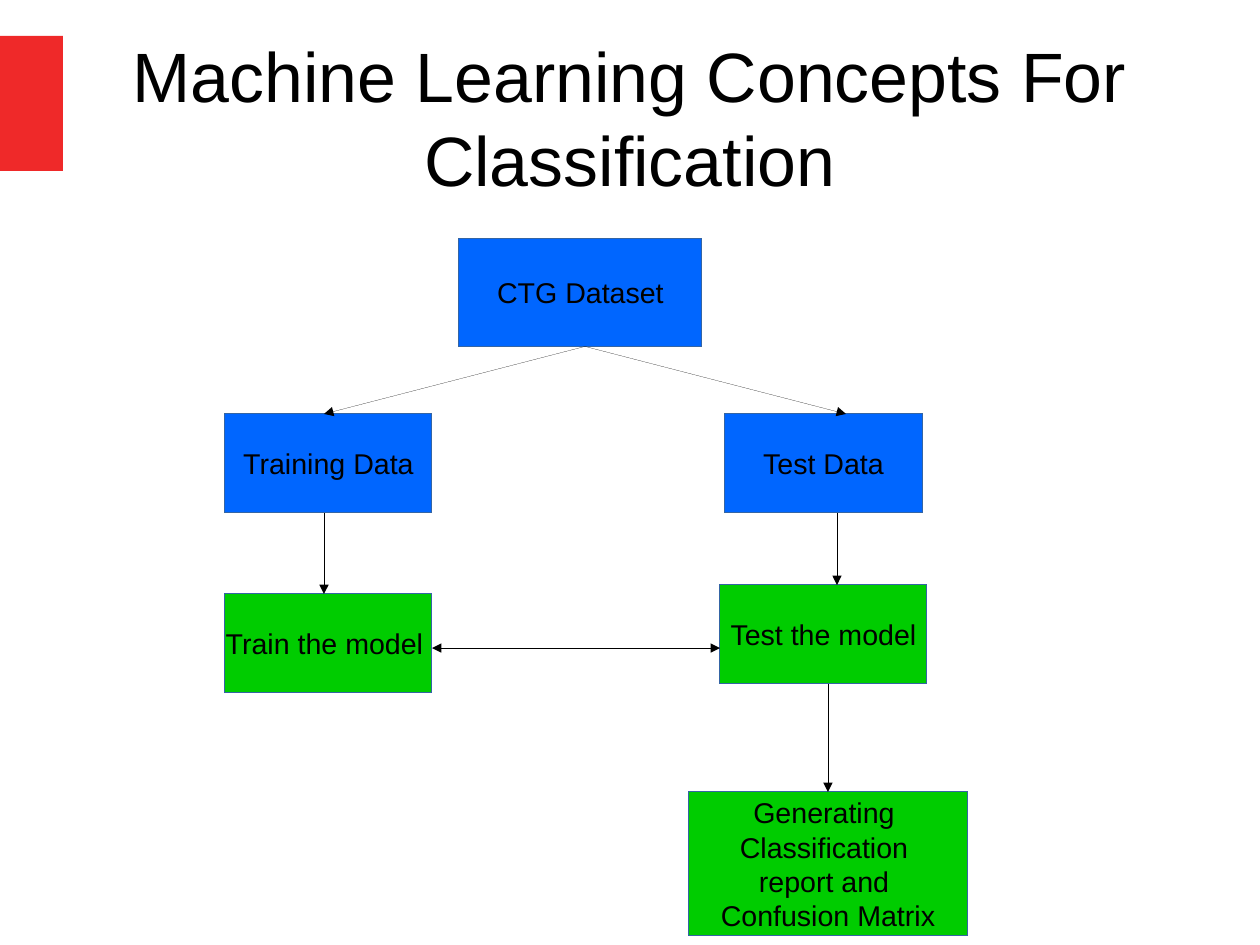
from lxml import etree
from pptx import Presentation
from pptx.dml.color import RGBColor
from pptx.enum.shapes import MSO_CONNECTOR, MSO_SHAPE
from pptx.enum.text import MSO_ANCHOR, PP_ALIGN
from pptx.oxml.ns import qn
from pptx.util import Cm, Inches, Pt

RECT = MSO_SHAPE.RECTANGLE
STRAIGHT = MSO_CONNECTOR.STRAIGHT
CENTER = PP_ALIGN.CENTER
MIDDLE = MSO_ANCHOR.MIDDLE

# Content, with lengths in centimetres
SLIDE_W, SLIDE_H = 28, 21
TITLE = "Machine Learning Concepts For Classification"
BLUE, GREEN, RED = "0066FF", "00CC00", "EF2929"
BLACK, BORDER = "000000", "3465A4"

# Grid: column centres, row tops and the usual step size
COLUMNS = {"train": 7.3, "data": 12.9, "test": 18.3, "report": 18.4}
ROWS = {"dataset": 5.3, "split": 9.2, "test": 13, "train": 13.2, "report": 17.6}
STEP_W, STEP_H = 4.6, 2.2

# Step: lines, column, row, width, height, colour
STEPS = {
    "dataset": (["CTG Dataset"], "data", "dataset", 5.4, 2.4, BLUE),
    "training data": (["Training Data"], "train", "split", STEP_W, STEP_H, BLUE),
    "test data": (["Test Data"], "test", "split", 4.4, STEP_H, BLUE),
    "train": (["Train the model "], "train", "train", STEP_W, STEP_H, GREEN),
    "test": (["Test the model"], "test", "test", STEP_W, STEP_H, GREEN),
    "report": (["Generating ", "Classification ", "report and ", "Confusion Matrix"],
               "report", "report", 6.2, 3.2, GREEN),
}

# Downward flow: upper step, lower step, x at start, x at end
FLOWS = [
    ("dataset", "training data", 13, 7.2),
    ("dataset", "test data", 13, 18.8),
    ("training data", "train", 7.2, 7.2),
    ("test data", "test", 18.6, 18.6),
    ("test", "report", 18.4, 18.4),
]
EXCHANGE_Y = 14.4


def color(hex_code):
    return RGBColor.from_string(hex_code)


def write(shape, lines, size=18, font="Arial", ink=BLACK, wrap=False, inset=(0.1, 0.05)):
    frame = shape.text_frame
    frame.word_wrap = wrap
    frame.vertical_anchor = MIDDLE
    frame.margin_left = frame.margin_right = Inches(inset[0])
    frame.margin_top = frame.margin_bottom = Inches(inset[1])
    for i, line in enumerate(lines):
        paragraph = frame.paragraphs[0] if i == 0 else frame.add_paragraph()
        paragraph.alignment = CENTER
        run = paragraph.add_run()
        run.text = line
        run.font.size = Pt(size)
        run.font.name = font
        run.font.color.rgb = color(ink)


def hairline(shape, ink):
    shape.line.color.rgb = color(ink)
    outline = shape._element.spPr.find(qn("a:ln"))
    outline.set("w", "0")
    return outline


def block(slide, left, top, width, height, fill, border=None):
    shape = slide.shapes.add_shape(RECT, *map(Cm, (left, top, width, height)))
    shape.shadow.inherit = False
    shape.fill.solid()
    shape.fill.fore_color.rgb = color(fill)
    if border:
        hairline(shape, border)
    else:
        shape.line.fill.background()
    return shape


def arrow(slide, start, end, both=False):
    connector = slide.shapes.add_connector(STRAIGHT, *map(Cm, (*start, *end)))
    outline = hairline(connector, BLACK)
    for tag in ("a:headEnd", "a:tailEnd") if both else ("a:tailEnd",):
        etree.SubElement(outline, qn(tag), type="triangle")
    etree.SubElement(connector._element.spPr, qn("a:effectLst"))


def main():
    deck = Presentation()
    deck.slide_width, deck.slide_height = Cm(SLIDE_W), Cm(SLIDE_H)
    slide = deck.slides.add_slide(deck.slide_layouts[6])

    # Accent and title
    margin = SLIDE_W * 0.05
    block(slide, 0, 0.8, margin, 3, RED)
    title = slide.shapes.add_textbox(*map(Cm, (margin, 0.84, SLIDE_W * 0.9, 3.5)))
    write(title, [TITLE], size=44, wrap=True, inset=(0, 0))

    # Steps
    edges = {}
    for step, (lines, column, row, width, height, fill) in STEPS.items():
        left, top = COLUMNS[column] - width / 2, ROWS[row]
        write(block(slide, left, top, width, height, fill, BORDER), lines)
        edges[step] = {"left": left, "right": left + width,
                       "top": top, "bottom": top + height}

    # Arrows
    for upper, lower, start_x, end_x in FLOWS:
        arrow(slide, (start_x, edges[upper]["bottom"]), (end_x, edges[lower]["top"]))
    arrow(slide, (edges["train"]["right"], EXCHANGE_Y),
          (edges["test"]["left"], EXCHANGE_Y), both=True)

    deck.save("out.pptx")


if __name__ == "__main__":
    main()
